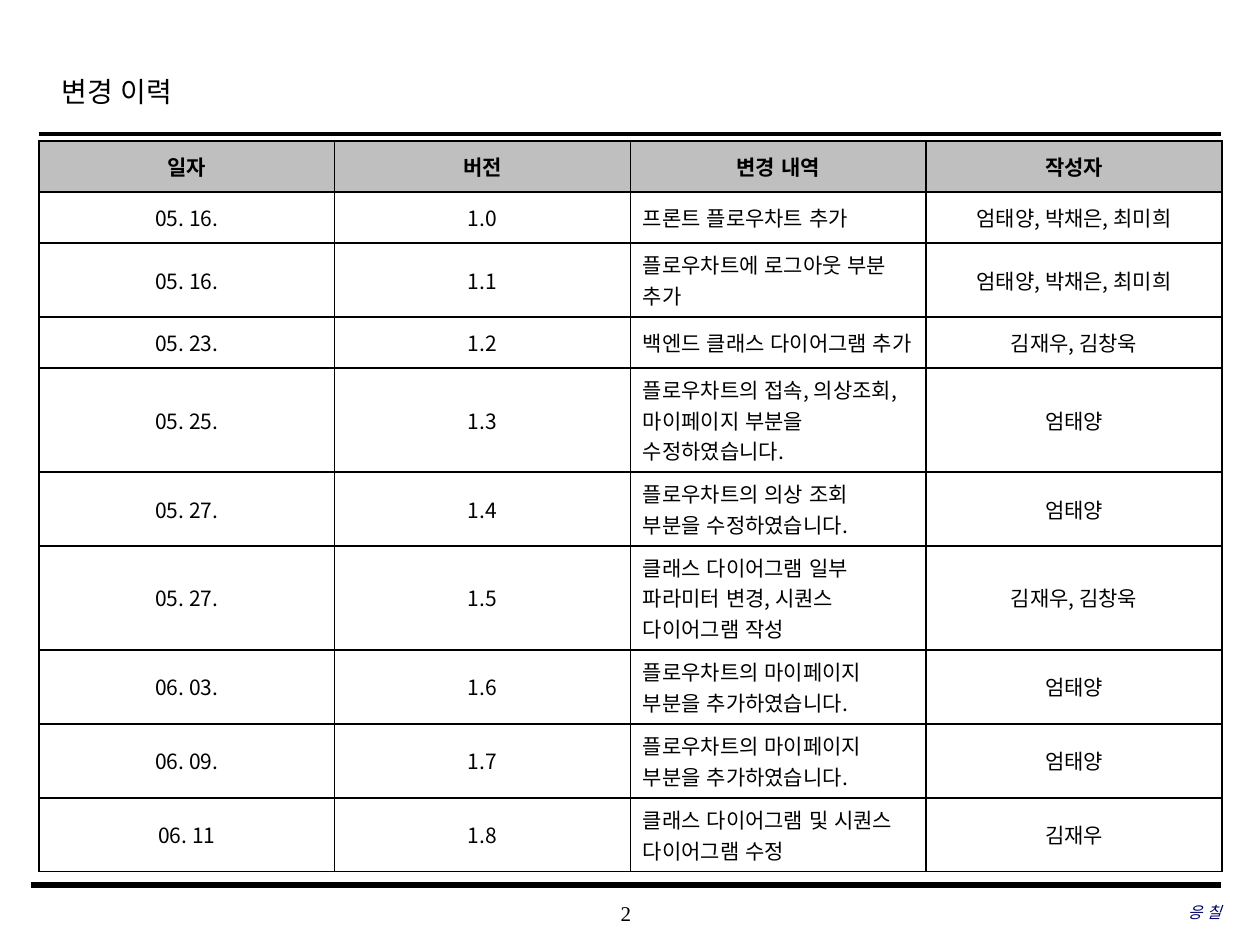
from lxml.etree import SubElement
from pptx import Presentation
from pptx.dml.color import RGBColor
from pptx.enum.lang import MSO_LANGUAGE_ID
from pptx.enum.shapes import MSO_CONNECTOR
from pptx.enum.text import MSO_ANCHOR, PP_ALIGN
from pptx.oxml.ns import qn
from pptx.util import Emu, Pt

SCALE = 914400 // 126
COLORS = {"ink": "000000", "header": "BFBFBF", "paper": "FFFFFF", "team": "000066"}
SERIF = "Times New Roman"
SANS = "Noto Sans CJK KR"

HEADINGS = ["일자", "버전", "변경 내역", "작성자"]
FRONT_TEAM = "엄태양, 박채은, 최미희"
BACK_TEAM = "김재우, 김창욱"
REVISIONS = [
    ("05. 16.", "1.0", "프론트 플로우차트 추가", FRONT_TEAM),
    ("05. 16.", "1.1", "플로우차트에 로그아웃 부분 추가", FRONT_TEAM),
    ("05. 23.", "1.2", "백엔드 클래스 다이어그램 추가", BACK_TEAM),
    ("05. 25.", "1.3", "플로우차트의 접속, 의상조회, 마이페이지 부분을 수정하였습니다.", "엄태양"),
    ("05. 27.", "1.4", "플로우차트의 의상 조회\n부분을 수정하였습니다.", "엄태양"),
    ("05. 27.", "1.5", "클래스 다이어그램 일부 파라미터 변경, 시퀀스 다이어그램 작성", BACK_TEAM),
    ("06. 03.", "1.6", "플로우차트의 마이페이지 부분을 추가하였습니다.", "엄태양"),
    ("06. 09.", "1.7", "플로우차트의 마이페이지 부분을 추가하였습니다.", "엄태양"),
    ("06. 11", "1.8", "클래스 다이어그램 및 시퀀스 다이어그램 수정", "김재우"),
]
LINE_COUNTS = [1, 1, 2, 1, 3, 2, 3, 2, 2, 2]
ROW_HEIGHTS = {1: 51, 2: 74, 3: 104}


def px(length):
    return Emu(length * SCALE)


def rgb(name):
    return RGBColor.from_string(COLORS[name])


def write(paragraph, text, size, face, color="ink", bold=False, italic=False):
    for index, line in enumerate(text.split("\n")):
        if index:
            paragraph.add_line_break()
        run = paragraph.add_run()
        run.text = line
        font = run.font
        font.size, font.name = Pt(size), face
        font.bold, font.italic = bold, italic
        font.language_id = MSO_LANGUAGE_ID.KOREAN
        font.color.rgb = rgb(color)
        SubElement(run._r.get_or_add_rPr(), qn("a:ea"), typeface=SANS)


def add_label(slide, box, align, inset=True):
    frame = slide.shapes.add_textbox(*map(px, box)).text_frame
    frame.word_wrap = True
    if not inset:
        frame.margin_left = frame.margin_right = 0
        frame.margin_top = frame.margin_bottom = 0
        frame.vertical_anchor = MSO_ANCHOR.MIDDLE
    paragraph = frame.paragraphs[0]
    paragraph.alignment = align
    return paragraph


def add_rule(slide, left, right, y, weight):
    rule = slide.shapes.add_connector(
        MSO_CONNECTOR.STRAIGHT, px(left), px(y), px(right), px(y))
    rule.line.color.rgb = rgb("ink")
    rule.line.width = Pt(weight)
    SubElement(rule._element.spPr, qn("a:effectLst"))


def add_heading(slide, left, top, width, height):
    title = add_label(slide, (left + 10, top, 951, 63), PP_ALIGN.LEFT)
    title.line_spacing = 1.2
    write(title, "변경 이력", 16, SERIF)
    add_rule(slide, left, left + width, top + height, 2.5)


def add_footer(slide, left, top, width):
    add_rule(slide, left, left + width, top, 3)
    page = add_label(slide, (left + 464, top + 7, 262, 42), PP_ALIGN.CENTER, False)
    write(page, "2", 12, SERIF)
    team = add_label(slide, (left + width - 386, top + 6, 386, 42), PP_ALIGN.RIGHT, False)
    write(team, "응 칠", 9, SERIF, "team", italic=True)


def border_cell(cell):
    properties = cell._tc.get_or_add_tcPr()
    for position, side in enumerate(("a:lnL", "a:lnR", "a:lnT", "a:lnB")):
        edge = properties.makeelement(qn(side), {"w": str(Pt(1))})
        fill = SubElement(edge, qn("a:solidFill"))
        SubElement(fill, qn("a:srgbClr"), val=COLORS["ink"])
        properties.insert(position, edge)


def add_history(slide, left, top, width):
    entries = [HEADINGS, *REVISIONS]
    heights = [ROW_HEIGHTS[count] for count in LINE_COUNTS]
    history = slide.shapes.add_table(
        len(entries), len(HEADINGS), px(left), px(top), px(width), px(sum(heights))).table
    for row_index, entry in enumerate(entries):
        history.rows[row_index].height = px(heights[row_index])
        is_header = row_index == 0
        for column_index, text in enumerate(entry):
            cell = history.cell(row_index, column_index)
            cell.vertical_anchor = MSO_ANCHOR.MIDDLE
            cell.fill.solid()
            cell.fill.fore_color.rgb = rgb("header" if is_header else "paper")
            border_cell(cell)
            paragraph = cell.text_frame.paragraphs[0]
            is_change = column_index == 2 and not is_header
            paragraph.alignment = PP_ALIGN.LEFT if is_change else PP_ALIGN.CENTER
            paragraph._p.get_or_add_pPr().set("hangingPunct", "0")
            write(paragraph, text, 12, SANS, bold=is_header)


def main():
    presentation = Presentation()
    presentation.slide_width, presentation.slide_height = px(1260), px(945)
    slide = presentation.slides.add_slide(presentation.slide_layouts[6])
    add_heading(slide, 39, 62, 1182, 72)
    add_footer(slide, 31, 885, 1190)
    add_history(slide, 39, 141, 1183)
    presentation.save("out.pptx")


if __name__ == "__main__":
    main()
